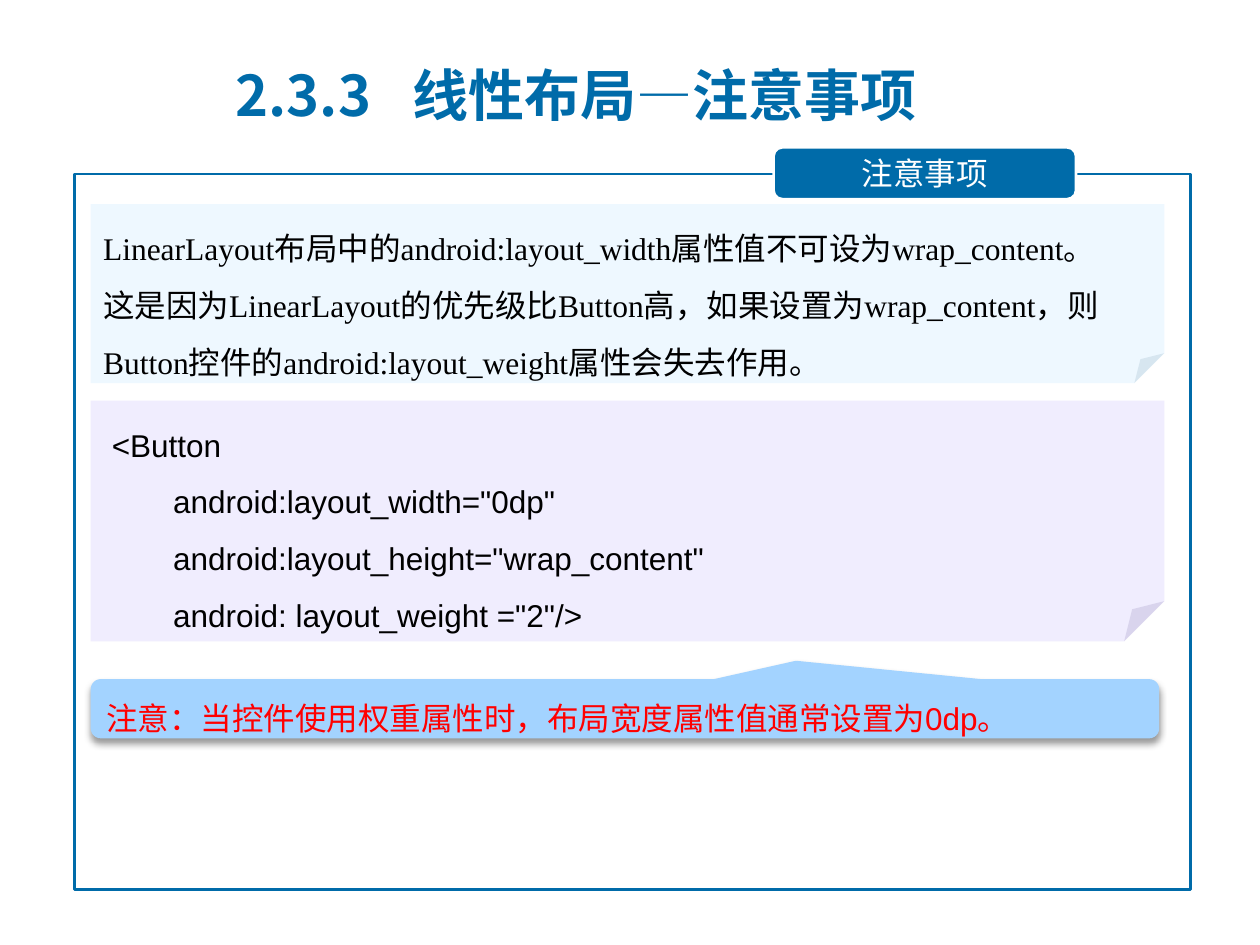
from lxml import etree
from pptx import Presentation, util as u
from pptx.dml.color import RGBColor
from pptx.enum import shapes, text
from pptx.oxml import parse_xml
from pptx.oxml.ns import qn

NS = 'xmlns:a="http://schemas.openxmlformats.org/drawingml/2006/main"'
BLUE, BLACK, RED, WHITE = "006BA9", "000000", "FF0000", "FFFFFF"
SANS, SERIF, HAN = "Arial", "Times New Roman", "Noto Sans CJK SC"
KIND = shapes.MSO_SHAPE

NOTES = [
    "LinearLayout布局中的android:layout_width属性值不可设为wrap_content。",
    "这是因为LinearLayout的优先级比Button高，如果设置为wrap_content，"
    "则Button控件的android:layout_weight属性会失去作用。",
]
CODE = [
    " <Button",
    '        android:layout_width="0dp"',
    '        android:layout_height="wrap_content"',
    '        android: layout_weight ="2"/>',
]
TIP = ["注意：当控件使用权重属性时，布局宽度属性值通常设置为0dp。"]


def color(code):
    return RGBColor.from_string(code)


def add_run(para, words, font, size, code, bold=False):
    run = para.add_run()
    run.text = words
    run.font.size, run.font.bold = u.Pt(size), bold
    run.font.name = font
    run.font.color.rgb = color(code)
    # Chinese glyphs
    latin = run.font._element.find(qn("a:latin"))
    latin.addnext(parse_xml(f'<a:ea {NS} typeface="{HAN}"/>'))


def add_box(slide, kind, place, fill=None, alpha=None, line=None):
    box = slide.shapes.add_shape(kind, *map(u.Inches, place))
    box.shadow.inherit = False
    if fill:
        box.fill.solid()
        box.fill.fore_color.rgb = color(fill)
        if alpha:
            tint = box.fill._xPr.find(qn("a:solidFill"))[0]
            etree.SubElement(tint, qn("a:alpha")).set("val", str(alpha * 1000))
    else:
        box.fill.background()
    if line:
        box.line.color.rgb = color(line)
        box.line.width = u.Pt(1.5)
    else:
        box.line.fill.background()
    return box


def fill_text(box, lines, font, code, anchor, align=text.PP_ALIGN.LEFT, space=1.5):
    frame = box.text_frame
    frame.word_wrap = True
    frame.vertical_anchor = anchor
    for i, words in enumerate(lines):
        para = frame.add_paragraph() if i else frame.paragraphs[0]
        para.alignment, para.line_spacing = align, space
        add_run(para, words, font, 18, code)


def add_shade(box):
    effects = box._element.spPr.find(qn("a:effectLst"))
    effects.append(parse_xml(
        f'<a:outerShdw {NS} blurRad="{u.Pt(4)}" dist="{u.Pt(3)}" dir="5400000" '
        'rotWithShape="0"><a:srgbClr val="000000"><a:alpha val="40000"/>'
        '</a:srgbClr></a:outerShdw>'))


def set_title(slide):
    title = slide.shapes.title
    title.left, title.top = u.Inches(1.77), u.Inches(0.44)
    title.width, title.height = u.Inches(6.54), u.Inches(0.61)
    frame = title.text_frame
    frame.auto_size = text.MSO_AUTO_SIZE.NONE
    frame.vertical_anchor = text.MSO_ANCHOR.MIDDLE
    para = frame.paragraphs[0]
    para.alignment = text.PP_ALIGN.LEFT
    para._p.get_or_add_pPr().append(parse_xml(
        f'<a:tabLst {NS}><a:tab pos="{u.Inches(1.4)}" algn="l"/></a:tabLst>'))
    for words, bold in (("2.3.3\t线性布局", True), ("—", False), ("注意事项", True)):
        add_run(para, words, HAN, 32, BLUE, bold)


def main():
    deck = Presentation()
    deck.slide_width, deck.slide_height = u.Inches(10), u.Inches(7.5)
    slide = deck.slides.add_slide(deck.slide_layouts[5])
    top, mid = text.MSO_ANCHOR.TOP, text.MSO_ANCHOR.MIDDLE
    set_title(slide)

    # Explanation and code sheets
    note = add_box(slide, KIND.FOLDED_CORNER, (0.72, 1.62, 8.52, 1.42), "C5E8FF", 28)
    fill_text(note, NOTES, SERIF, BLACK, top)
    code = add_box(slide, KIND.FOLDED_CORNER, (0.72, 3.18, 8.52, 1.91), "D1C7FD", 31)
    fill_text(code, CODE, SANS, BLACK, top)

    # Callout with the tip
    tip = add_box(slide, KIND.ROUNDED_RECTANGULAR_CALLOUT, (0.72, 5.39, 8.48, 0.47), "A3D3FF")
    for i, value in enumerate((0.16, -0.81, 0.17)):
        tip.adjustments[i] = value
    add_shade(tip)
    fill_text(tip, TIP, SANS, RED, mid)

    # Frame and its tab
    add_box(slide, KIND.RECTANGLE, (0.59, 1.38, 8.86, 5.68), line=BLUE)
    label = add_box(slide, KIND.ROUNDED_RECTANGLE, (6.14, 1.17, 2.4, 0.41), BLUE, line=WHITE)
    fill_text(label, ["注意事项"], HAN, WHITE, mid, text.PP_ALIGN.CENTER, 1)

    deck.save("out.pptx")


if __name__ == "__main__":
    main()
